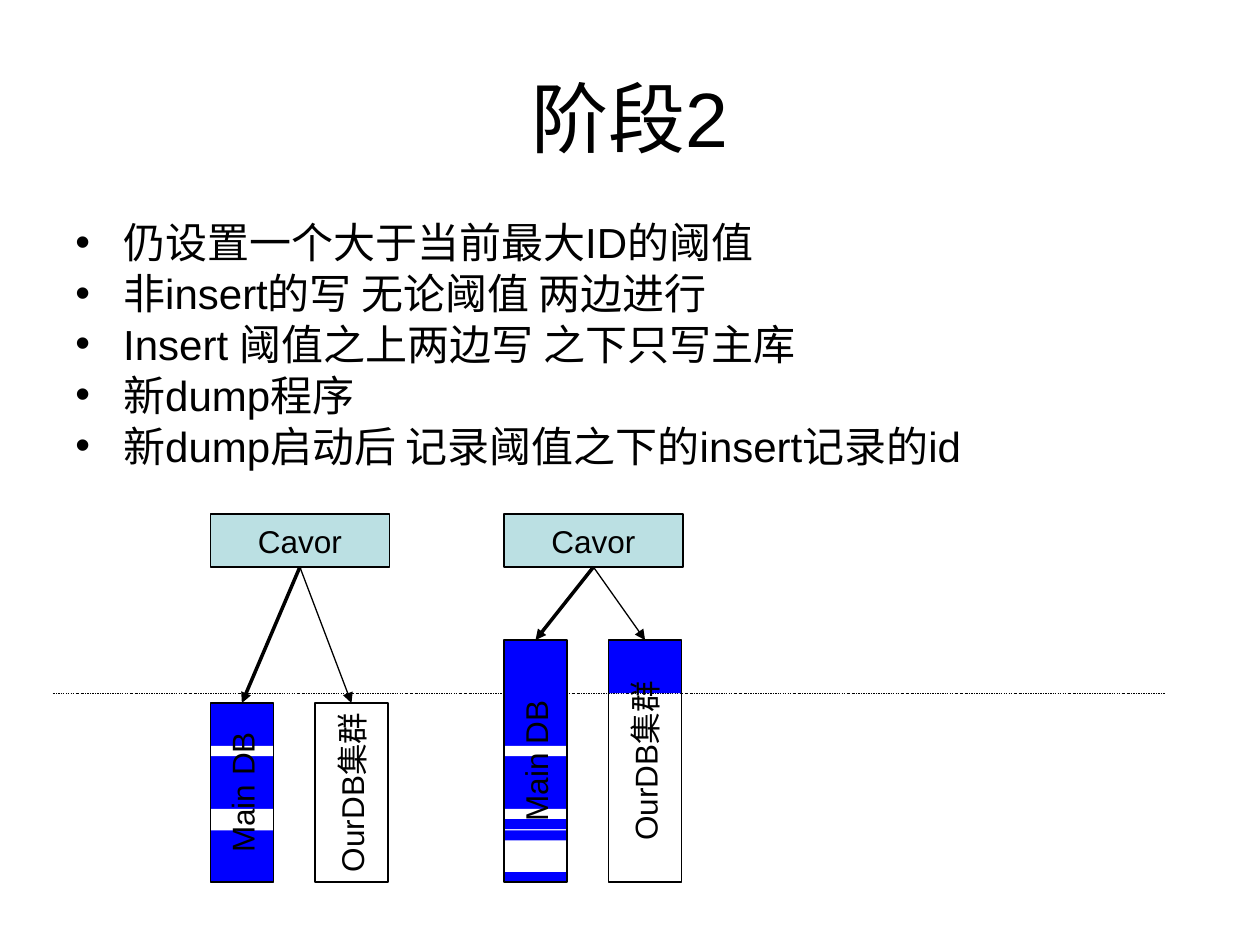
from typing import NamedTuple, Optional

from lxml.etree import SubElement
from pptx import Presentation
from pptx.dml.color import RGBColor
from pptx.enum.dml import MSO_LINE
from pptx.enum.shapes import MSO_CONNECTOR, MSO_SHAPE
from pptx.enum.text import MSO_ANCHOR, PP_ALIGN
from pptx.oxml.ns import qn
from pptx.util import Inches, Pt

BLACK = RGBColor(0x00, 0x00, 0x00)
WHITE = RGBColor(0xFF, 0xFF, 0xFF)
BLUE = RGBColor(0x00, 0x00, 0xFF)
TEAL = RGBColor(0xBB, 0xE0, 0xE3)

FONT = "Arial"
FLOOR = 7.0
LEVEL = 5.5
POINTS = [
    "仍设置一个大于当前最大ID的阈值",
    "非insert的写 无论阈值 两边进行",
    "Insert 阈值之上两边写 之下只写主库",
    "新dump程序",
    "新dump启动后 记录阈值之下的insert记录的id",
]


class Band(NamedTuple):
    top: float
    height: float
    color: RGBColor


class Stage(NamedTuple):
    left: float
    top: float
    old: list[Band]
    new: list[Band]


SHARED = [
    Band(6.75, 0.08, BLUE),
    Band(6.25, 0.17, BLUE),
    Band(6.42, 0.17, WHITE),
    Band(5.92, 0.08, WHITE),
]
EXTRA = [Band(6.67, 0.25, WHITE), Band(6.5, 0.08, BLUE)]
STAGES = [
    Stage(1.67, 5.58, SHARED, []),
    Stage(4.0, 5.08, SHARED + EXTRA, [Band(5.08, 0.42, BLUE)]),
]


def add_run(para, text: str, size: float) -> None:
    run = para.add_run()
    run.text = text
    run.font.name = FONT
    run.font.size = Pt(size)
    run.font.color.rgb = BLACK


def add_box(slide, left: float, top: float, width: float, height: float,
            fill: Optional[RGBColor] = None, text: str = "", turn: bool = False):
    if turn:
        left += (width - height) / 2
        top += (height - width) / 2
        width, height = height, width
    box = slide.shapes.add_shape(MSO_SHAPE.RECTANGLE, Inches(left), Inches(top),
                                 Inches(width), Inches(height))
    box.shadow.inherit = False
    box.rotation = 270 if turn else 0
    if fill is None:
        box.fill.background()
    else:
        box.fill.solid()
        box.fill.fore_color.rgb = fill
    if not text:
        box.line.fill.background()
        return box
    box.line.color.rgb = BLACK
    box.line.width = Pt(0.75)
    frame = box.text_frame
    frame.word_wrap = False
    frame.vertical_anchor = MSO_ANCHOR.MIDDLE
    para = frame.paragraphs[0]
    para.alignment = PP_ALIGN.CENTER
    add_run(para, text, 18)
    return box


def add_line(slide, start: tuple[float, float], end: tuple[float, float], width: float):
    line = slide.shapes.add_connector(MSO_CONNECTOR.STRAIGHT, *map(Inches, start + end))
    line.line.color.rgb = BLACK
    line.line.width = Pt(width)
    SubElement(line._element.spPr, qn("a:effectLst"))
    return line


def add_arrow(slide, source, target, start: tuple[float, float],
              end: tuple[float, float], width: float) -> None:
    arrow = add_line(slide, start, end, width)
    arrow.begin_connect(source, 2)
    arrow.end_connect(target, 3)
    arrow.begin_x, arrow.begin_y = map(Inches, start)
    arrow.end_x, arrow.end_y = map(Inches, end)
    SubElement(arrow.line._get_or_add_ln(), qn("a:tailEnd"), type="triangle")


def add_store(slide, left: float, top: float, width: float, bands: list[Band], text: str):
    for band in bands:
        add_box(slide, left, band.top, width, band.height, band.color, turn=True)
    return add_box(slide, left, top, width, FLOOR - top, text=text, turn=True)


def add_stage(slide, stage: Stage) -> None:
    left, top = stage.left, stage.top
    proxy = add_box(slide, left, 4.08, 1.42, 0.42, TEAL, "Cavor")
    whole = Band(top, FLOOR - top, BLUE)
    old = add_store(slide, left, top, 0.5, [whole] + stage.old, "Main DB")
    new = add_store(slide, left + 0.83, top, 0.58, stage.new, "OurDB集群")
    start = (left + 0.71, 4.5)
    add_arrow(slide, proxy, old, start, (left + 0.25, top), 2)
    add_arrow(slide, proxy, new, start, (left + 1.12, top), 0.75)


def add_title(slide) -> None:
    box = slide.shapes.add_textbox(Inches(0.5), Inches(0.3), Inches(9), Inches(1.25))
    frame = box.text_frame
    frame.word_wrap = True
    frame.vertical_anchor = MSO_ANCHOR.MIDDLE
    para = frame.paragraphs[0]
    para.alignment = PP_ALIGN.CENTER
    add_run(para, "阶段2", 44)


def add_list(slide) -> None:
    box = slide.shapes.add_textbox(Inches(0.5), Inches(1.75), Inches(9), Inches(2.17))
    frame = box.text_frame
    frame.word_wrap = True
    for index, text in enumerate(POINTS):
        para = frame.add_paragraph() if index else frame.paragraphs[0]
        para.line_spacing = 0.8
        para.space_before = Pt(6)
        props = para._p.get_or_add_pPr()
        props.set("marL", str(Inches(0.38)))
        props.set("indent", str(-Inches(0.38)))
        SubElement(props, qn("a:buFont"), typeface=FONT)
        SubElement(props, qn("a:buChar"), char="•")
        add_run(para, text, 24)


def main() -> None:
    deck = Presentation()
    deck.slide_width, deck.slide_height = Inches(10), Inches(7.5)
    slide = deck.slides.add_slide(deck.slide_layouts[6])
    add_title(slide)
    add_list(slide)
    level = add_line(slide, (0.42, LEVEL), (9.25, LEVEL), 0.25)
    level.line.dash_style = MSO_LINE.DASH_DOT
    for stage in STAGES:
        add_stage(slide, stage)
    deck.save("out.pptx")


if __name__ == "__main__":
    main()
